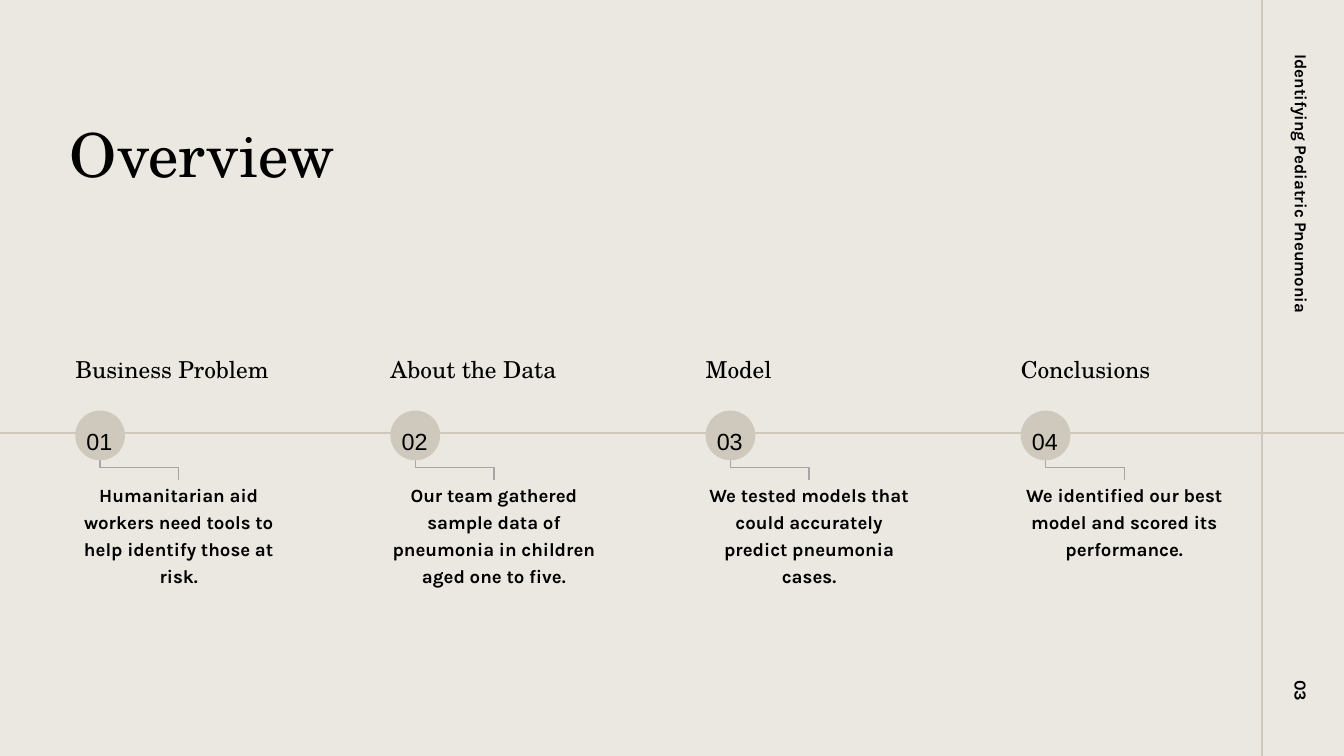
import pptx
import pptx.dml.color
import pptx.enum.shapes
import pptx.enum.text
import pptx.oxml.ns
import pptx.util
from lxml import etree

RGBColor = pptx.dml.color.RGBColor
BACKGROUND = RGBColor(0xEB, 0xE8, 0xE2)
BEIGE = RGBColor(0xCF, 0xC9, 0xBD)
GRAY = RGBColor(0xA6, 0xA6, 0xA6)
BLACK = RGBColor(0, 0, 0)
SERIF, SANS, NUMERAL = "TeX Gyre Schola", "Karla", "Arial"

Inches = pptx.util.Inches
ALIGN = pptx.enum.text.PP_ALIGN
CONNECTOR = pptx.enum.shapes.MSO_CONNECTOR

# Grid: four steps at an equal pitch along the timeline
WIDTH, HEIGHT = 20, 11.25
FIRST_COLUMN, PITCH = 1.12, 4.69
TEXT_WIDTH = 3.08
TIMELINE_Y, SIDEBAR_X = 6.44, 18.78
CIRCLE_TOP, CIRCLE_SIZE = 6.11, 0.74
ELBOW_TOP, BODY_TOP = 6.78, 7.14

STEPS = [
    ("Business Problem", "Humanitarian aid workers need tools to help identify those at risk."),
    ("About the Data", "Our team gathered sample data of pneumonia in children aged one to five."),
    ("Model", "We tested models that could accurately predict pneumonia cases."),
    ("Conclusions", "We identified our best model and scored its performance."),
]

presentation = pptx.Presentation()
presentation.slide_width = Inches(WIDTH)
presentation.slide_height = Inches(HEIGHT)
slide = presentation.slides.add_slide(presentation.slide_layouts[6])
slide.background.fill.solid()
slide.background.fill.fore_color.rgb = BACKGROUND


def add_text(text, *, left, top, width, height, font, size, bold=False,
             align=ALIGN.LEFT, spacing=1.2, rotation=0):
    shape = slide.shapes.add_textbox(Inches(left), Inches(top), Inches(width), Inches(height))
    shape.rotation = rotation
    frame = shape.text_frame
    frame.word_wrap = True
    frame.auto_size = pptx.enum.text.MSO_AUTO_SIZE.SHAPE_TO_FIT_TEXT
    frame.margin_left = frame.margin_right = frame.margin_top = frame.margin_bottom = 0
    paragraph = frame.paragraphs[0]
    paragraph.alignment = align
    paragraph.line_spacing = spacing
    run = paragraph.add_run()
    run.text = text
    run.font.name = font
    run.font.size = pptx.util.Pt(size)
    run.font.bold = bold
    run.font.color.rgb = BLACK


def add_line(kind, start, end, color, weight):
    line = slide.shapes.add_connector(kind, *map(Inches, start + end))
    line.line.color.rgb = color
    line.line.width = pptx.util.Pt(weight)
    etree.SubElement(line.element.spPr, pptx.oxml.ns.qn("a:effectLst"))
    return line


columns = [FIRST_COLUMN + PITCH * index for index in range(len(STEPS))]

# Elbows from each circle down to its text, drawn upright and turned
run_length = (TEXT_WIDTH - CIRCLE_SIZE) / 2
drop = BODY_TOP - ELBOW_TOP
middle_y = (ELBOW_TOP + BODY_TOP) / 2
for left in columns:
    middle_x = left + (CIRCLE_SIZE + run_length) / 2
    elbow = add_line(CONNECTOR.ELBOW,
                     (middle_x + drop / 2, middle_y - run_length / 2),
                     (middle_x - drop / 2, middle_y + run_length / 2), GRAY, 1.5)
    elbow.rotation = 270

# Timeline
add_line(CONNECTOR.STRAIGHT, (0, TIMELINE_Y), (WIDTH, TIMELINE_Y), BEIGE, 2.25)

# Steps: heading, numbered circle, description
for number, (left, (heading, description)) in enumerate(zip(columns, STEPS), start=1):
    add_text(heading, left=left, top=5.2, width=3.68, height=0.42, font=SERIF, size=25)
    circle = slide.shapes.add_shape(
        pptx.enum.shapes.MSO_SHAPE.OVAL, Inches(left), Inches(CIRCLE_TOP),
        Inches(CIRCLE_SIZE), Inches(CIRCLE_SIZE))
    circle.shadow.inherit = False
    circle.fill.solid()
    circle.fill.fore_color.rgb = BEIGE
    circle.line.fill.background()
    add_text(f"{number:02}", left=left + 0.06, top=6.27, width=0.6, height=0.42,
             font=NUMERAL, size=25, align=ALIGN.CENTER)
    add_text(description, left=left, top=BODY_TOP, width=TEXT_WIDTH, height=1.14,
             font=SANS, size=20, bold=True, align=ALIGN.CENTER)

# Sidebar: page number, running title and rule
add_text("03", left=18.21, top=9.07, width=2.43, height=0.3, font=SANS, size=18,
         bold=True, align=ALIGN.RIGHT, rotation=90)
add_text("Identifying Pediatric Pneumonia", left=17.38, top=2.71, width=4.1, height=0.3,
         font=SANS, size=18, bold=True, rotation=90)
add_line(CONNECTOR.STRAIGHT, (SIDEBAR_X, HEIGHT), (SIDEBAR_X, 0), BEIGE, 2.25)

# Title
add_text("Overview", left=1.04, top=1.41, width=11.75, height=1.09, font=SERIF, size=65,
         spacing=1.31)

presentation.save("out.pptx")
